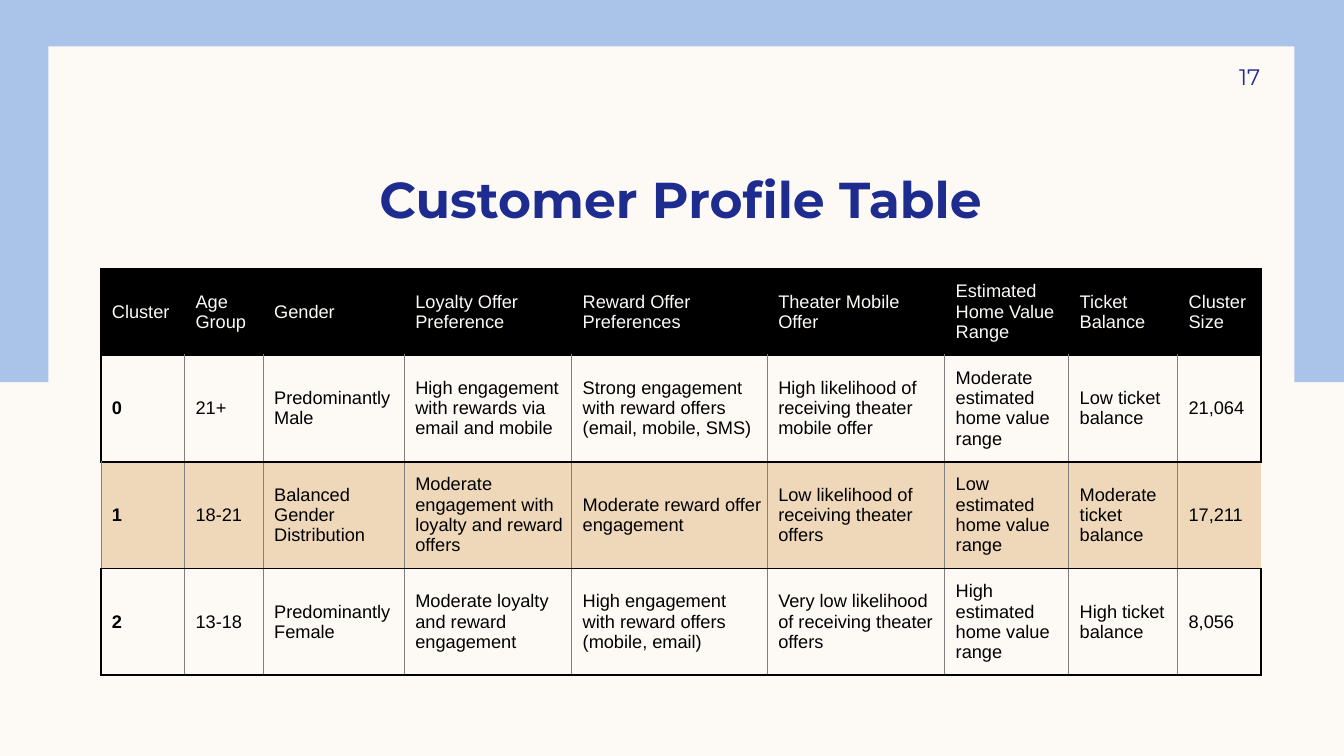
from lxml.etree import SubElement
from pptx import Presentation
from pptx.dml.color import RGBColor
from pptx.enum.shapes import MSO_SHAPE as Shape
from pptx.enum.text import MSO_ANCHOR as Anchor, PP_ALIGN as Align
from pptx.oxml.ns import qn
from pptx.util import Pt

PX = 9144  # 100 px to the inch
CREAM, SKY, NAVY, TAN = "FDFAF6", "AAC3E8", "1F2C8F", "EFD8B9"
BLACK, GRAY = "000000", "808080"
THICK, THIN = (BLACK, 1.5), (GRAY, 0.5)
NO_STYLE = "{2D5ABB26-0587-4C30-8999-92F81FD0307C}"

COLUMN_WIDTHS = [83, 78, 140, 166, 194, 176, 123, 108, 83]
ROW_HEIGHTS = [85, 106, 106, 106]
PROFILES = [
    ["Cluster", "Age Group", "Gender", "Loyalty Offer Preference",
     "Reward Offer Preferences", "Theater Mobile Offer",
     "Estimated Home Value Range", "Ticket Balance", "Cluster Size"],
    ["0", "21+", "Predominantly Male",
     "High engagement with rewards via email and mobile",
     "Strong engagement with reward offers (email, mobile, SMS)",
     "High likelihood of receiving theater mobile offer",
     "Moderate estimated home value range", "Low ticket balance", "21,064"],
    ["1", "18-21", "Balanced Gender Distribution",
     "Moderate engagement with loyalty and reward offers",
     "Moderate reward offer engagement",
     "Low likelihood of receiving theater offers",
     "Low estimated home value range", "Moderate ticket balance", "17,211"],
    ["2", "13-18", "Predominantly Female",
     "Moderate loyalty and reward engagement",
     "High engagement with reward offers (mobile, email)",
     "Very low likelihood of receiving theater offers",
     "High estimated home value range", "High ticket balance", "8,056"],
]


def color(value):
    return RGBColor.from_string(value)


def emu(*lengths):
    return [length * PX for length in lengths]


def set_values(target, values):
    for name, value in values.items():
        setattr(target, name, value)


def set_margins(target, *margins):
    sides = ("margin_left", "margin_top", "margin_right", "margin_bottom")
    set_values(target, dict(zip(sides, emu(*margins))))


def write(paragraph, text, font_color, **font_values):
    run = paragraph.add_run()
    run.text = text
    set_values(run.font, font_values)
    run.font.color.rgb = color(font_color)


def add_panel(slide, box, fill):
    panel = slide.shapes.add_shape(Shape.RECTANGLE, *emu(*box))
    panel.shadow.inherit = False
    panel.fill.solid()
    panel.fill.fore_color.rgb = color(fill)
    panel.line.fill.background()


def add_text(slide, box, text, margins, anchor, align, **font_values):
    frame = slide.shapes.add_textbox(*emu(*box)).text_frame
    set_values(frame, {"word_wrap": True, "vertical_anchor": anchor})
    set_margins(frame, *margins)
    paragraph = frame.paragraphs[0]
    paragraph.alignment = align
    write(paragraph, text, NAVY, name="Montserrat", **font_values)


def add_border(cell, side, line):
    properties = cell._tc.get_or_add_tcPr()
    border = SubElement(properties, qn(f"a:ln{side}"), w=str(Pt(line[1])))
    fill = SubElement(border, qn("a:solidFill"))
    SubElement(fill, qn("a:srgbClr"), val=line[0])


def cell_borders(row, column):
    """Lines of a cell by side, in the order the file format needs."""
    first, last = column == 0, column == len(COLUMN_WIDTHS) - 1
    if row == 0:
        return dict.fromkeys("LRTB", THICK)
    if row == 2:  # the tan band is open on its right and lower sides
        lines = {"L": THIN, "R": THIN, "T": THICK}
        if last:
            del lines["R"]
        return lines
    lines = {"L": THICK if first else THIN, "R": THICK if last else THIN}
    if row == 1:
        lines["T"] = THICK
    return lines | {"B": THICK}


def fill_cell(cell, row, column, text):
    for side, line in cell_borders(row, column).items():
        add_border(cell, side, line)
    fill = {0: BLACK, 2: TAN}.get(row)
    if fill:
        cell.fill.solid()
        cell.fill.fore_color.rgb = color(fill)
    else:
        cell.fill.background()
    cell.vertical_anchor = Anchor.MIDDLE
    set_margins(cell, 11, 9, 5, 9)
    write(cell.text_frame.paragraphs[0], text, BLACK if row else CREAM,
          name="Arial", size=Pt(13), bold=row > 0 and column == 0)


def add_profile_table(slide, left, top):
    box = emu(left, top, sum(COLUMN_WIDTHS), sum(ROW_HEIGHTS))
    frame = slide.shapes.add_table(len(ROW_HEIGHTS), len(COLUMN_WIDTHS), *box)
    table = frame.table
    set_values(table, {"first_row": False, "horz_banding": False})
    table._tbl.tblPr.find(qn("a:tableStyleId")).text = NO_STYLE
    for column, width in zip(table.columns, COLUMN_WIDTHS):
        column.width = width * PX
    for row, height in zip(table.rows, ROW_HEIGHTS):
        row.height = height * PX
    for row, texts in enumerate(PROFILES):
        for column, text in enumerate(texts):
            fill_cell(table.cell(row, column), row, column, text)


def add_backdrop(slide, width):
    slide.background.fill.solid()
    slide.background.fill.fore_color.rgb = color(CREAM)
    add_panel(slide, (-3, 0, width + 3, 379), SKY)
    add_panel(slide, (48, 46, 1236, 659), CREAM)


def add_headings(slide, left, width):
    # Title, then slide number at the right edge
    add_text(slide, (left, 116, width, 111), "Customer Profile Table",
             (10, 0, 10, 0), Anchor.BOTTOM, Align.CENTER,
             size=Pt(36), bold=True)
    add_text(slide, (left + width - 117, 50, 117, 52), "17",
             (10, 5, 0, 5), Anchor.MIDDLE, Align.RIGHT, size=Pt(16))


def main():
    presentation = Presentation()
    width, height = 1333, 750
    presentation.slide_width, presentation.slide_height = emu(width, height)
    slide = presentation.slides.add_slide(presentation.slide_layouts[6])
    add_backdrop(slide, width)
    add_headings(slide, 100, 1150)
    add_profile_table(slide, 100, 267)
    presentation.save("out.pptx")


if __name__ == "__main__":
    main()
